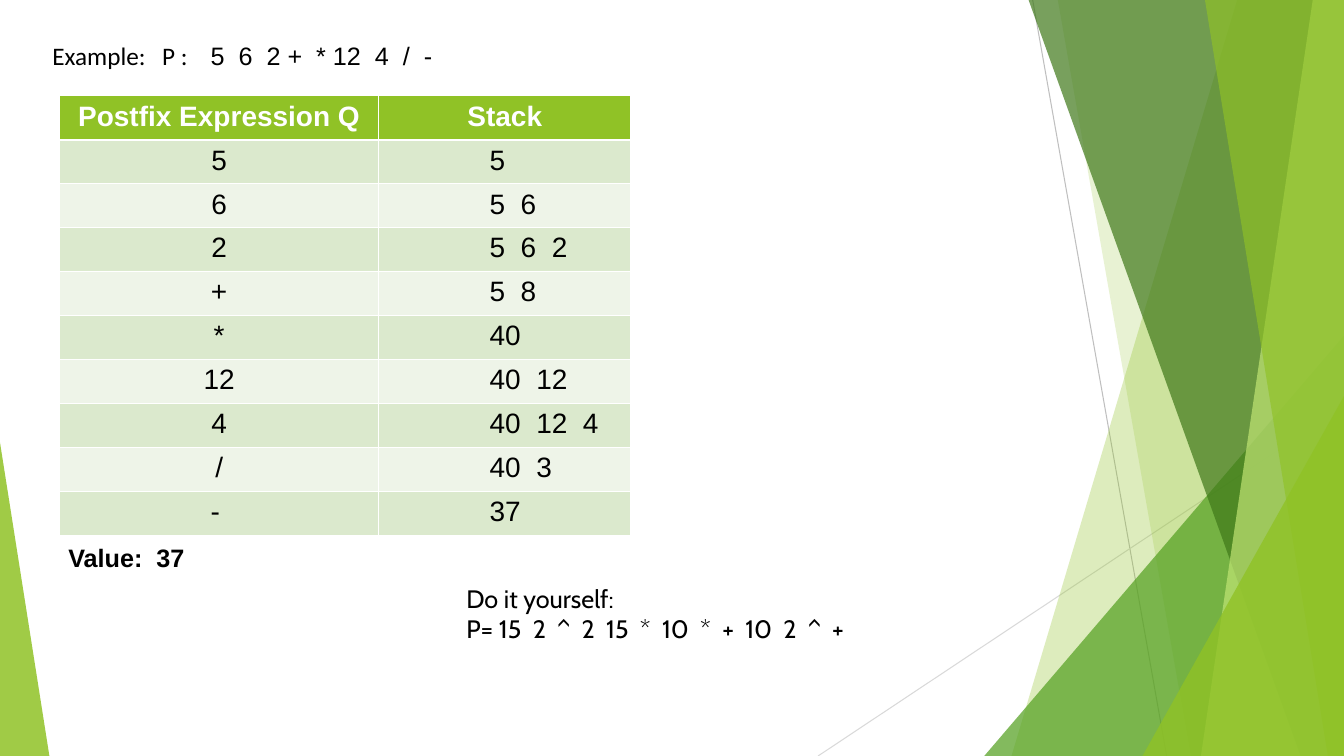
from lxml.etree import SubElement
from pptx import Presentation
from pptx.dml.color import RGBColor as RGB
from pptx.enum.shapes import MSO_CONNECTOR as CONN, MSO_SHAPE as SHAPE
from pptx.enum.text import MSO_ANCHOR as ANCHOR, MSO_AUTO_SIZE as AUTO, PP_ALIGN as ALIGN
from pptx.oxml.ns import qn
from pptx.util import Inches, Pt

COLORS = {
    "lime": "90C226", "pale": "C0E474", "leaf": "54A021", "forest": "3F7819",
    "band": "DBE9CD", "light": "EEF4E8", "black": "000000", "white": "FFFFFF",
    "gray": "BFBFBF", "silver": "D9D9D9",
}
CELL = Inches(0.01)  # the slide is a grid of square cells
COLS, ROWS = 1334, 750


def write(p, text, font="Arial", size=18, bold=False, color="black", align=ALIGN.LEFT):
    """Add a formatted run to a paragraph."""
    p.alignment = align
    r = p.add_run()
    r.text = text
    r.font.name, r.font.size, r.font.bold = font, Pt(size), bold
    r.font.color.rgb = RGB.from_string(COLORS[color])


def paint(s, color, opacity):
    """Give a shape a see-through fill without line or shadow."""
    s.shadow.inherit = False
    s.line.fill.background()
    s.fill.solid()
    s.fill.fore_color.rgb = RGB.from_string(COLORS[color])
    rgb = s._element.spPr.find(".//" + qn("a:srgbClr"))
    SubElement(rgb, qn("a:alpha"), val=str(opacity * 1000))


prs = Presentation()
prs.slide_width, prs.slide_height = COLS * CELL, ROWS * CELL
slide = prs.slides.add_slide(prs.slide_layouts[5])
shapes = slide.shapes

# Thin lines behind the green facets
for x1, y1, x2, y2, color in [(1025, 0, 1158, ROWS, "gray"), (COLS, 403, 812, ROWS, "silver")]:
    s = shapes.add_connector(CONN.STRAIGHT, *[n * CELL for n in (x1, y1, x2, y2)])
    s.line.color.rgb = RGB.from_string(COLORS[color])
    s.line.width = Pt(0.75)
    SubElement(s._element.spPr, qn("a:effectLst"))

# Facets: a band reaches the right edge from its top and bottom columns,
# a triangle stands on the bottom edge with its apex at the left (0) or right (1)
facets = [
    ("band", 1228, 1004, "lime", 30),
    ("band", 1050, 1182, "lime", 20),
    ("triangle", (977, 333, 357), 1, "leaf", 72),
    ("band", 1021, 1291, "forest", 70),
    ("band", 1303, 1192, "pale", 70),
    ("band", 1196, 1318, "lime", 65),
    ("triangle", (1134, 393, 200), 1, "lime", 80),
    ("triangle", (0, 439, 49), 0, "lime", 85),
]
for kind, start, end, color, opacity in facets:
    if kind == "band":
        outline = shapes.build_freeform(start, 0, scale=CELL)
        outline.add_line_segments([(COLS, 0), (COLS, ROWS), (end, ROWS)], close=True)
        s = outline.convert_to_shape()
    else:
        left, top, width = start
        box = [n * CELL for n in (left, top, width, ROWS - top)]
        s = shapes.add_shape(SHAPE.ISOSCELES_TRIANGLE, *box)
        s.adjustments[0] = end
    paint(s, color, opacity)

# Title with the expression, set out on two tab stops
title = shapes.title
title.left, title.top, title.width, title.height = [n * CELL for n in (42, 35, 917, 40)]
tf = title.text_frame
tf.word_wrap, tf.auto_size, tf.vertical_anchor = True, AUTO.SHAPE_TO_FIT_TEXT, ANCHOR.TOP
p = tf.paragraphs[0]
tabs = SubElement(p._p.get_or_add_pPr(), qn("a:tabLst"))
for stop in (109, 157):
    SubElement(tabs, qn("a:tab"), pos=str(stop * CELL), algn="l")
write(p, "Example:\tP :\t", font="Calibri")
write(p, "5  6  2 +  * 12  4  /  -")

# Evaluation table
steps = [
    ("Postfix Expression Q", "Stack"),
    ("5", "5"), ("6", "5  6"), ("2", "5  6  2"), ("+", "5  8"), ("*", "40"),
    ("12", "40  12"), ("4", "40  12  4"), ("/", "40  3"), ("- ", "37"),
]
table = shapes.add_table(len(steps), 2, *[n * CELL for n in (59, 95, 567, 436)]).table
table.columns[0].width, table.columns[1].width = 317 * CELL, 250 * CELL
for i, step in enumerate(steps):
    for j, text in enumerate(step):
        cell = table.cell(i, j)
        tcPr = cell._tc.get_or_add_tcPr()
        for side in "LRTB":
            thick = (i, side) in [(0, "B"), (1, "T")]
            ln = SubElement(tcPr, qn("a:ln" + side), w=str(Pt(1.5 if thick else 0.5)))
            SubElement(SubElement(ln, qn("a:solidFill")), qn("a:srgbClr"), val=COLORS["white"])
        fill = "lime" if i == 0 else "band" if i % 2 else "light"
        cell.fill.solid()
        cell.fill.fore_color.rgb = RGB.from_string(COLORS[fill])
        stack = i > 0 and j == 1
        if stack:
            cell.margin_left = 110 * CELL
        write(cell.text_frame.paragraphs[0], text, size=20, bold=i == 0,
              color="black" if i else "white", align=ALIGN.LEFT if stack else ALIGN.CENTER)

# Result and exercise
notes = [
    ((58, 533, 575, 40), "Arial", True, ["Value:  37"]),
    ((453, 574, 562, 70), "Cabin", False,
     ["Do it yourself:", "P= 15  2  ^  2  15  *  10  *  +  10  2  ^  +"]),
]
for box, font, bold, lines in notes:
    tf = shapes.add_textbox(*[n * CELL for n in box]).text_frame
    tf.word_wrap, tf.auto_size = True, AUTO.SHAPE_TO_FIT_TEXT
    for i, line in enumerate(lines):
        p = tf.add_paragraph() if i else tf.paragraphs[0]
        write(p, line, font=font, bold=bold)

prs.save("out.pptx")
